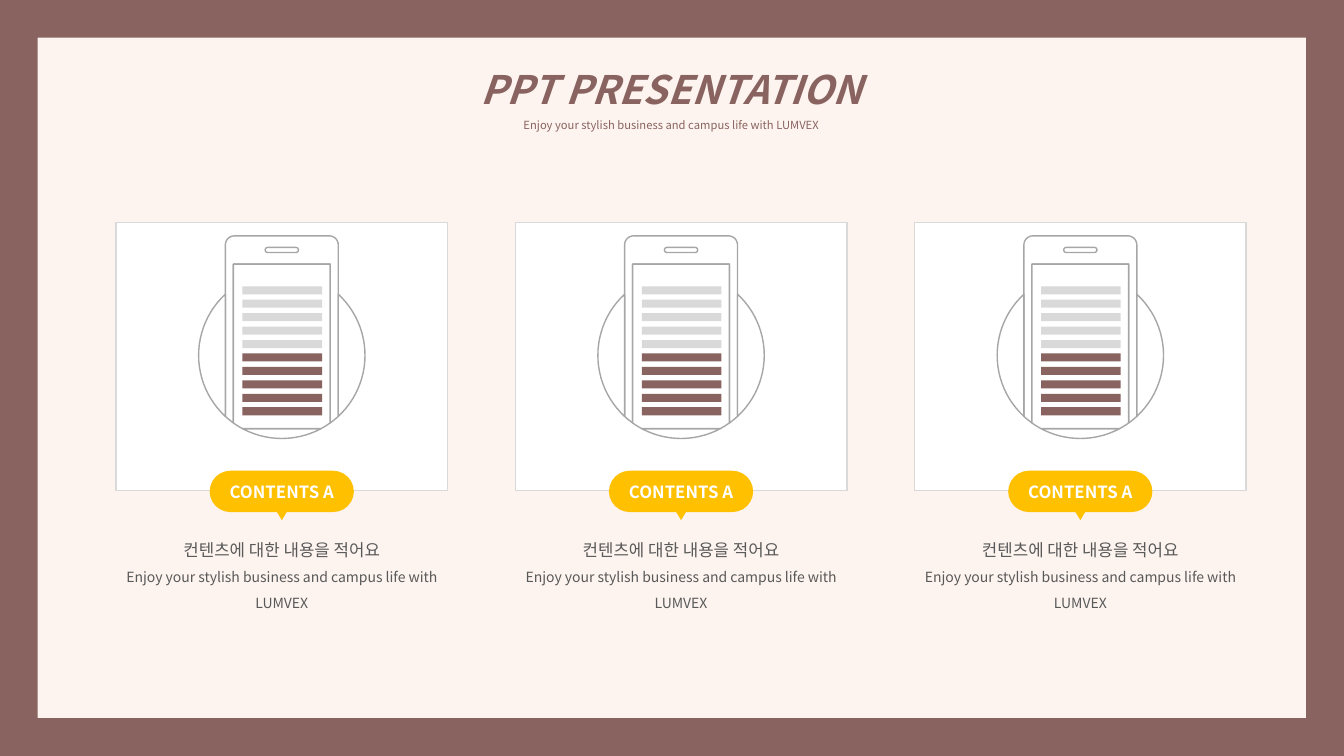
from math import acos, asin, cos, pi, sin

from lxml import etree
from pptx import Presentation
from pptx import util as u
from pptx.dml.color import RGBColor
from pptx.enum import shapes, text
from pptx.oxml.ns import qn

FONT = "Noto Sans CJK KR"
BROWN, CREAM, WHITE, YELLOW = "896360", "FDF4EF", "FFFFFF", "FFC000"
PALE, OUTLINE, INK = "D9D9D9", "A6A6A6", "595959"
TAGLINE = "Enjoy your stylish business and campus life with LUMVEX"
KIND = shapes.MSO_SHAPE


def color(value):
    return RGBColor.from_string(value)


def paint(shape, fill, line=None):
    shape.shadow.inherit = False
    shape.fill.solid()
    shape.fill.fore_color.rgb = color(fill)
    if line:
        shape.line.color.rgb = color(line)
        shape.line.width = u.Pt(1)
    else:
        shape.line.fill.background()
    return shape


def add_block(parent, kind, left, top, width, height, fill, line=None):
    box = [u.Inches(length) for length in (left, top, width, height)]
    return paint(parent.shapes.add_shape(kind, *box), fill, line)


def add_outline(parent, *contours):
    """Draw closed contours, given as points in inches, as one freeform."""
    paths = [[(u.Inches(x), u.Inches(y)) for x, y in contour] for contour in contours]
    builder = parent.shapes.build_freeform(*paths[0][0])
    builder.add_line_segments(paths[0][1:], close=True)
    for path in paths[1:]:
        builder.move_to(*path[0])
        builder.add_line_segments(path[1:], close=True)
    paint(builder.convert_to_shape(), WHITE, OUTLINE)


def arc(x, y, radius, start, end, steps=24):
    angles = [start + (end - start) * i / steps for i in range(steps + 1)]
    return [(x + radius * cos(a), y + radius * sin(a)) for a in angles]


def write(para, words, size, ink, bold=False, italic=False, spacing=None):
    para.add_run().text = words
    para.alignment = text.PP_ALIGN.CENTER
    para.line_spacing = spacing
    font = para.font
    font.size, font.bold, font.italic = u.Pt(size), bold, italic
    font.color.rgb = color(ink)
    font.name = FONT
    # Hangul takes the East Asian font
    etree.SubElement(font._rPr, qn("a:ea"), typeface=FONT)


def add_heading(page, left, top, width, height):
    title = page.shapes.title
    title.left, title.top = u.Inches(left), u.Inches(top)
    title.width, title.height = u.Inches(width), u.Inches(height)
    frame = title.text_frame
    frame.auto_size = text.MSO_AUTO_SIZE.NONE
    frame.vertical_anchor = text.MSO_ANCHOR.TOP
    write(frame.paragraphs[0], "PPT PRESENTATION", 28, BROWN, True, True, 1.5)
    write(frame.add_paragraph(), TAGLINE, 8, BROWN, spacing=1.5)


def add_phone(group, x, y):
    """Phone standing in a circle centred on x, y."""
    radius, body, screen, base = 0.825, 0.56, 0.48, 0.39
    phone_top, screen_top, corner = y - 1.185, y - 0.905, 0.09
    body_angle, screen_angle, base_angle = (acos(half / radius) for half in (body, screen, base))

    # Circle below the phone
    add_outline(group, arc(x, y, radius, base_angle, pi - base_angle))

    # Phone body with speaker slot
    cap, slot_y = 0.025, phone_top + 0.14
    slot = (arc(x - 0.14, slot_y, cap, 1.5 * pi, pi / 2, 8)
            + arc(x + 0.14, slot_y, cap, pi / 2, -pi / 2, 8))
    case = (arc(x - body + corner, phone_top + corner, corner, pi, 1.5 * pi, 8)
            + arc(x + body - corner, phone_top + corner, corner, -pi / 2, 0, 8)
            + arc(x, y, radius, body_angle, screen_angle, 4)
            + [(x + screen, screen_top), (x - screen, screen_top)]
            + arc(x, y, radius, pi - screen_angle, pi - body_angle, 4))
    add_outline(group, slot, case)

    # Screen
    add_outline(group, [(x - screen, screen_top), (x + screen, screen_top)]
                + arc(x, y, radius, screen_angle, base_angle, 4)
                + arc(x, y, radius, pi - base_angle, pi - screen_angle, 4))

    # Circle at the right and left of the phone
    side = asin(sin(body_angle))
    add_outline(group, arc(x, y, radius, -side, side))
    add_outline(group, arc(x, y, radius, pi - side, pi + side))


def add_bars(page, left, top, width):
    for i in range(10):
        add_block(page, KIND.RECTANGLE, left, top + i * 1.2 / 9, width, 0.08,
                  PALE if i < 5 else BROWN)


def add_badge(page, left, top, width, height):
    group = page.shapes.add_group_shape()
    pointer = add_block(group, KIND.ISOSCELES_TRIANGLE, left + width / 2 - 0.145,
                        top + 0.25, 0.29, 0.24, YELLOW)
    pointer.rotation = 180
    pill = add_block(group, KIND.ROUNDED_RECTANGLE, left, top, width, height, YELLOW)
    pill.adjustments[0] = 0.5
    pill.text_frame.vertical_anchor = text.MSO_ANCHOR.MIDDLE
    write(pill.text_frame.paragraphs[0], "CONTENTS A", 12, WHITE, bold=True)


def add_caption(page, left, top, width, height):
    box = page.shapes.add_textbox(*(u.Inches(n) for n in (left, top, width, height)))
    frame = box.text_frame
    frame.word_wrap = True
    write(frame.paragraphs[0], "컨텐츠에 대한 내용을 적어요", 12, INK, spacing=1.5)
    write(frame.add_paragraph(), TAGLINE, 10, INK, spacing=1.5)


def add_card(page, left, top, width, height):
    middle = left + width / 2
    group = page.shapes.add_group_shape()
    add_block(group, KIND.RECTANGLE, left, top, width, height, WHITE, PALE)
    add_phone(group, middle, top + 1.315)
    add_caption(page, left, top + 3, width, 0.91)
    add_bars(page, middle - 0.39, top + 0.63, 0.79)
    add_badge(page, middle - 0.715, top + height - 0.2, 1.43, 0.41)


def main():
    deck = Presentation()
    deck.slide_width, deck.slide_height = u.Inches(13.33), u.Inches(7.5)
    page = deck.slides.add_slide(deck.slide_layouts[5])
    page.background.fill.solid()
    page.background.fill.fore_color.rgb = color(CREAM)

    # Border around the slide
    border = add_block(page, KIND.FRAME, 0, 0, 13.33, 7.5, BROWN)
    border.adjustments[0] = 0.05

    add_heading(page, 3.74, 0.36, 5.84, 1.04)
    for i in range(3):
        add_card(page, 1.15 + i * 3.96, 2.21, 3.29, 2.66)
    deck.save("out.pptx")


if __name__ == "__main__":
    main()
